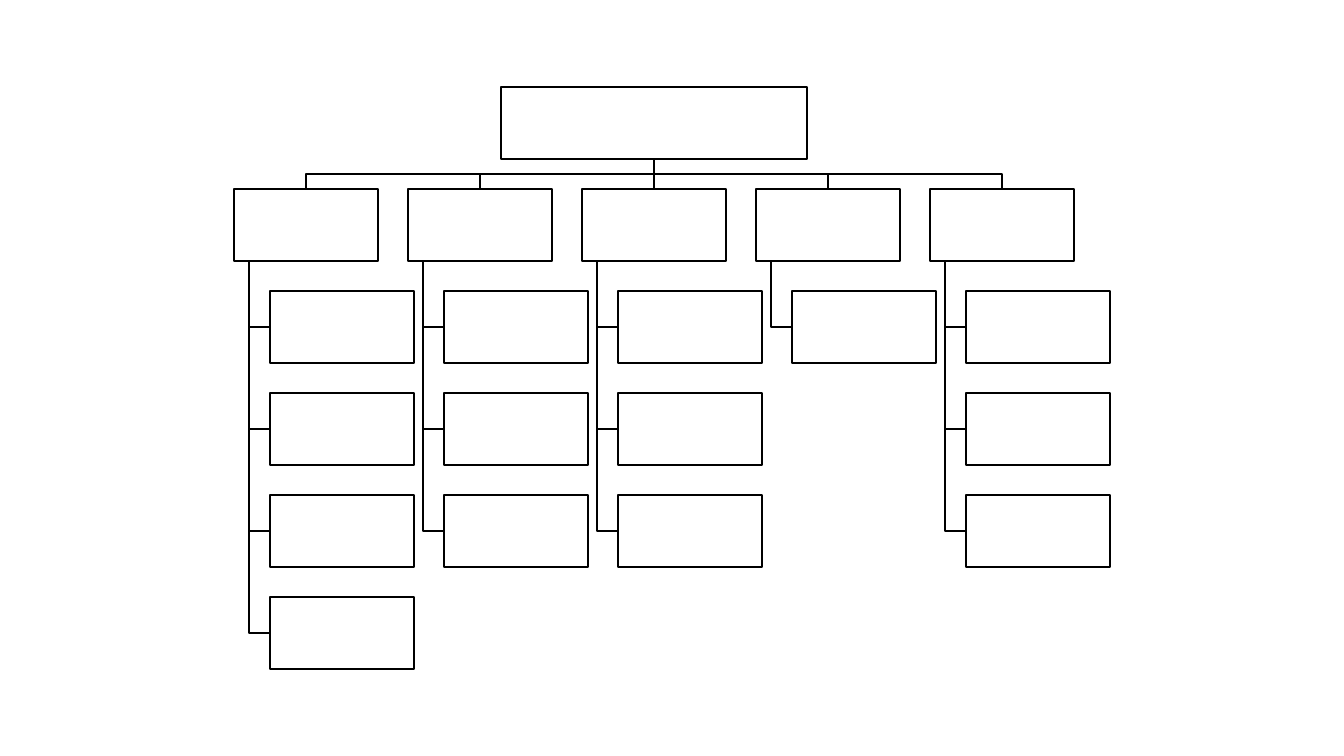
import pptx
import pptx.dml.color
import pptx.enum.shapes
import pptx.oxml
import pptx.util

PX = 914400 / 100.8
THEME = {
    "font": "Calibri",
    "size": 18,
    "ink": pptx.dml.color.RGBColor(0, 0, 0),
    "paper": pptx.dml.color.RGBColor(255, 255, 255),
    "line": 1,
}

deck = pptx.Presentation()
deck.slide_width = round(1344 * PX)
deck.slide_height = round(756 * PX)
slide = deck.slides.add_slide(deck.slide_layouts[6])


def box(text, left, top, width, height, size=THEME["size"]):
    """Draw an outlined box with an optional label."""
    kind = pptx.enum.shapes.MSO_SHAPE.RECTANGLE
    shape = slide.shapes.add_shape(
        kind, *(round(n * PX) for n in (left, top, width, height)))
    shape.shadow.inherit = False
    shape.fill.solid()
    shape.fill.fore_color.rgb = THEME["paper"]
    shape.line.color.rgb = THEME["ink"]
    shape.line.width = pptx.util.Pt(THEME["line"])
    if text:
        shape.text_frame.text = text
        font = shape.text_frame.paragraphs[0].font
        font.name = THEME["font"]
        font.size = pptx.util.Pt(size)
        font.color.rgb = THEME["ink"]


def wire(*points):
    """Draw a straight connector, or a bent line through more points."""
    start, *rest = [(round(x * PX), round(y * PX)) for x, y in points]
    if len(rest) == 1:
        kind = pptx.enum.shapes.MSO_CONNECTOR.STRAIGHT
        shape = slide.shapes.add_connector(kind, *start, *rest[0])
    else:
        path = slide.shapes.build_freeform(*start)
        path.add_line_segments(rest, close=False)
        shape = path.convert_to_shape()
        shape.fill.background()
        shape.shadow.inherit = False
    shape.line.color.rgb = THEME["ink"]
    shape.line.width = pptx.util.Pt(THEME["line"])
    if len(rest) == 1:
        props = shape.line._get_or_add_ln().getparent()
        props.append(pptx.oxml.parse_xml(
            '<a:effectLst xmlns:a='
            '"http://schemas.openxmlformats.org/drawingml/2006/main"/>'))


# Chart grid: one root, five heads, and the number of boxes below each head
TEAMS = [4, 3, 3, 1, 3]
MID, TOP = 654, 87
WIDE, HIGH, ROOT = 144, 72, 306
COL, ROW = 174, 102
INDENT, TRUNK = 36, 15
base = TOP + HIGH
head = TOP + ROW
bus = (base + head) // 2
mids = [MID + (i - len(TEAMS) // 2) * COL for i in range(len(TEAMS))]

# Lines, behind the boxes
for mid, count in zip(mids, TEAMS):
    if mid == MID:
        wire((MID, base), (MID, head))
    else:
        wire((MID, base), (MID, bus), (mid, bus), (mid, head))
    left = mid - WIDE // 2
    for row in range(1, count + 1):
        y = head + row * ROW + HIGH // 2
        wire((left + TRUNK, head + HIGH), (left + TRUNK, y),
             (left + INDENT, y))

# Boxes
box("", MID - ROOT // 2, TOP, ROOT, HIGH)
for mid, count in zip(mids, TEAMS):
    left = mid - WIDE // 2
    box("", left, head, WIDE, HIGH)
    for row in range(1, count + 1):
        box("", left + INDENT, head + row * ROW, WIDE, HIGH)

deck.save("out.pptx")
